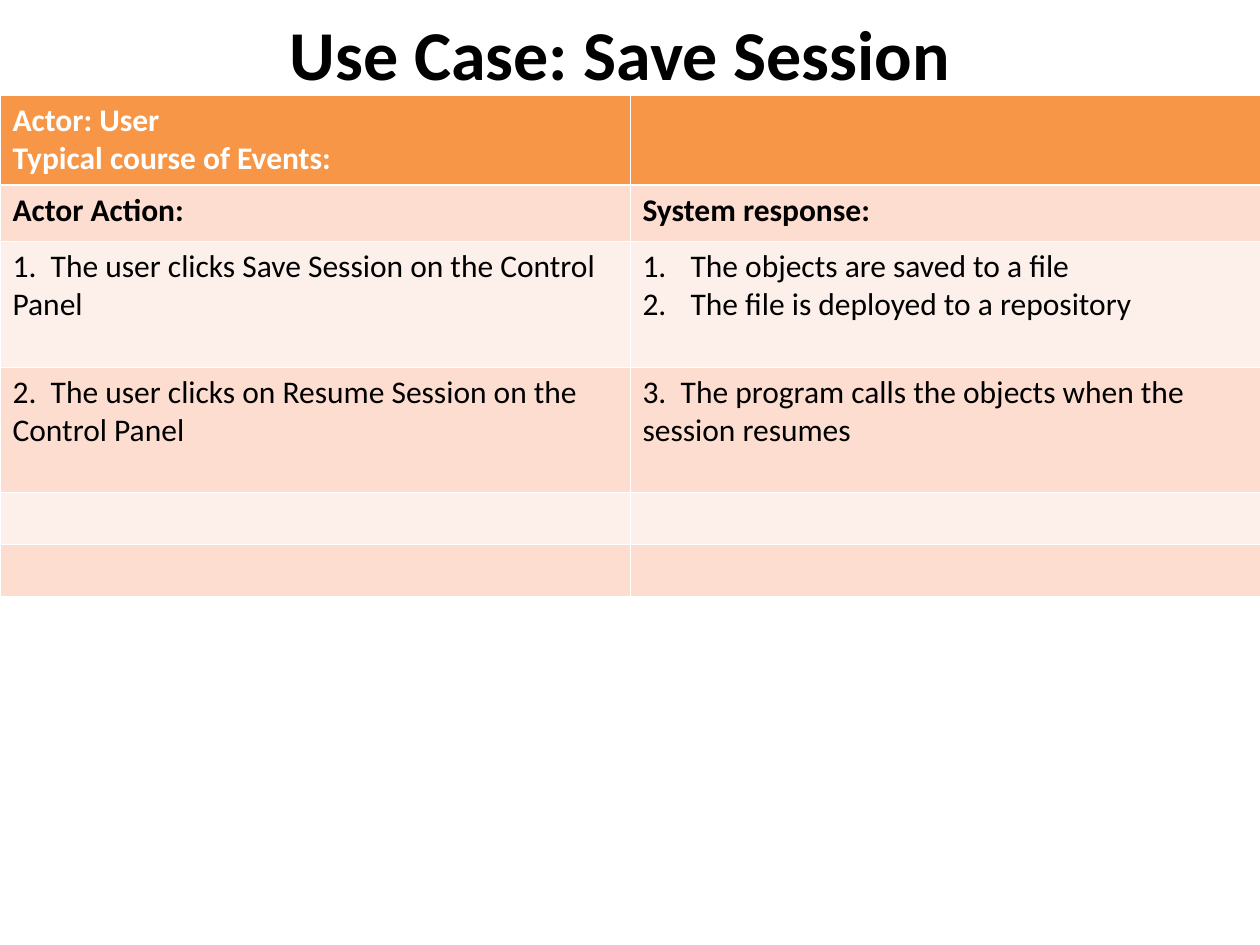
from lxml.etree import SubElement
from pptx import Presentation
from pptx.dml.color import RGBColor
from pptx.enum.text import MSO_ANCHOR, PP_ALIGN
from pptx.oxml.ns import qn
from pptx.util import Pt

TITLE = "Use Case: Save Session"
ROWS = [
    (90, ["Actor: User\nTypical course of Events:"], []),
    (56, ["Actor Action:"], ["System response:"]),
    (126, ["1.  The user clicks Save Session on the Control Panel"],
     ["The objects are saved to a file", "The file is deployed to a repository"]),
    (126, ["2.  The user clicks on Resume Session on the Control Panel"],
     ["3.  The program calls the objects when the session resumes"]),
    (52, [], []),
    (52, [], []),
]
THEME = {
    "font": "Calibri", "title_size": 40, "body_size": 18,
    "text": "000000", "header_text": "FFFFFF", "header": "F79646",
    "bands": ["FDEFE9", "FCDDCF"], "border": "FFFFFF",
    "thin": 0.45, "thick": 1.47,
}
SCALE = 914400 // 126
SLIDE_WIDTH, SLIDE_HEIGHT = 1260, 945
TITLE_BOX = (53, 0, 1134, 105)
TABLE_TOP = 95
NUMBER_INDENT = 48


def px(length):
    return round(length * SCALE)


def write(frame, lines, size, color, bold=False, align=PP_ALIGN.LEFT, numbered=False):
    for index, line in enumerate(lines):
        para = frame.add_paragraph() if index else frame.paragraphs[0]
        para.text = line
        para.alignment = align
        for span in para.runs:
            span.font.name = THEME["font"]
            span.font.size = Pt(size)
            span.font.bold = bold
            span.font.color.rgb = RGBColor.from_string(color)
        if numbered:
            properties = para._p.get_or_add_pPr()
            properties.set("marL", str(px(NUMBER_INDENT)))
            properties.set("indent", str(-px(NUMBER_INDENT)))
            SubElement(properties, qn("a:buFont"), typeface="+mj-lt")
            SubElement(properties, qn("a:buAutoNum"), type="arabicPeriod")


def set_borders(cell, **widths):
    properties = cell._tc.get_or_add_tcPr()
    for position, side in enumerate("LRTB"):
        width = Pt(widths.get(side, THEME["thin"]))
        line = SubElement(properties, qn(f"a:ln{side}"), w=str(width))
        fill = SubElement(line, qn("a:solidFill"))
        SubElement(fill, qn("a:srgbClr"), val=THEME["border"])
        properties.insert(position, line)


def add_title(page):
    box = page.shapes.title
    box.left, box.top, box.width, box.height = map(px, TITLE_BOX)
    box.text_frame.vertical_anchor = MSO_ANCHOR.MIDDLE
    write(box.text_frame, [TITLE], THEME["title_size"], THEME["text"],
          bold=True, align=PP_ALIGN.CENTER)


def add_events(page):
    height = sum(row[0] for row in ROWS)
    table = page.shapes.add_table(len(ROWS), 2, 0, px(TABLE_TOP),
                                  px(SLIDE_WIDTH), px(height)).table
    for row_index, (row_height, *texts) in enumerate(ROWS):
        table.rows[row_index].height = px(row_height)
        header = row_index == 0
        color = THEME["header_text"] if header else THEME["text"]
        band = THEME["header"] if header else THEME["bands"][row_index % 2]
        widths = {0: {"B": THEME["thick"]}, 1: {"T": THEME["thick"]}}.get(row_index, {})
        for column, lines in enumerate(texts):
            cell = table.cell(row_index, column)
            cell.fill.solid()
            cell.fill.fore_color.rgb = RGBColor.from_string(band)
            set_borders(cell, **widths)
            write(cell.text_frame, lines, THEME["body_size"], color,
                  bold=row_index < 2, numbered=len(lines) > 1)


def main():
    deck = Presentation()
    deck.slide_width, deck.slide_height = px(SLIDE_WIDTH), px(SLIDE_HEIGHT)
    page = deck.slides.add_slide(deck.slide_layouts[5])
    add_title(page)
    add_events(page)
    deck.save("out.pptx")


if __name__ == "__main__":
    main()
